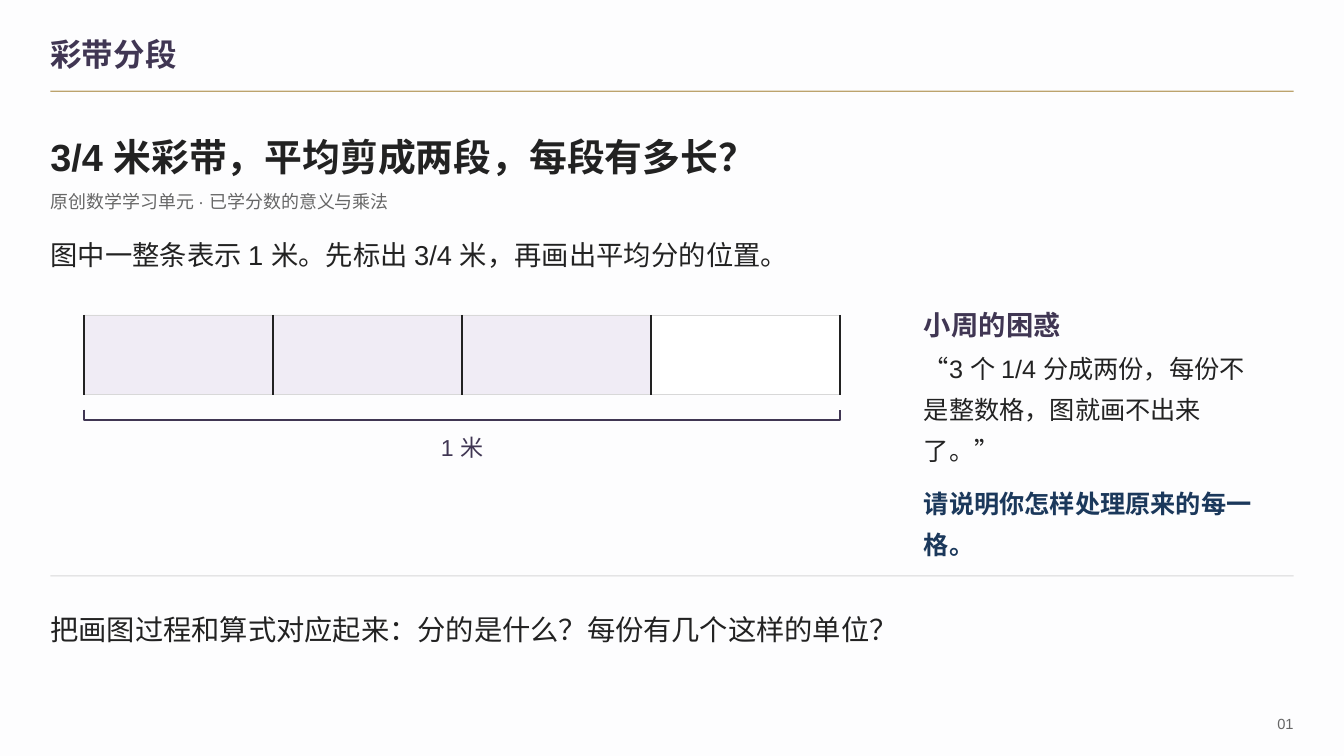
"""Build a fraction lesson slide: a ribbon of 3/4 metre cut into two equal pieces."""
from pptx import Presentation, util as u
from pptx.dml.color import RGBColor
from pptx.enum import shapes, text
from lxml import etree

COLORS = {
    "paper": "FDFDFE", "gold": "BCA36D", "plum": "403653", "ink": "222222",
    "muted": "666666", "rule": "D8D8D8", "lilac": "F0ECF5", "white": "FFFFFF",
    "navy": "1B385B",
}
COLUMNS = 160
LEFT, TOP, ANCHOR = text.PP_ALIGN.LEFT, text.MSO_ANCHOR.TOP, text.MSO_ANCHOR.MIDDLE
RIGHT, CENTER = text.PP_ALIGN.RIGHT, text.PP_ALIGN.CENTER

deck = Presentation()
deck.slide_width, deck.slide_height = u.Inches(13.3333), u.Inches(7.5)
slide = deck.slides.add_slide(deck.slide_layouts[6])
slide.background.fill.solid()
slide.background.fill.fore_color.rgb = RGBColor.from_string(COLORS["paper"])


def grid(*cells):
    """Turn grid cells into lengths."""
    return [u.Emu(round(cell * deck.slide_width / COLUMNS)) for cell in cells]


def add_block(cells, fill, edge=None):
    """Add a flat rectangle with an optional thin edge."""
    block = slide.shapes.add_shape(shapes.MSO_SHAPE.RECTANGLE, *grid(*cells))
    block.shadow.inherit = False
    block.fill.solid()
    block.fill.fore_color.rgb = RGBColor.from_string(COLORS[fill])
    if edge:
        block.line.color.rgb = RGBColor.from_string(COLORS[edge])
        block.line.width = u.Pt(0.56)
    else:
        block.line.fill.background()


MARGIN, FULL = 6, 148
for rule_top, rule_color in ((10.8, "gold"), (68.5, "rule")):
    add_block((MARGIN, rule_top, FULL, 0.13), rule_color)

RIBBON_LEFT, RIBBON_TOP, RIBBON_WIDTH, RIBBON_HEIGHT = 10, 37.5, 90, 9.5
PARTS, TAKEN = 4, 3
part_width = RIBBON_WIDTH / PARTS
for part in range(PARTS):
    add_block((RIBBON_LEFT + part * part_width, RIBBON_TOP, part_width, RIBBON_HEIGHT),
              "lilac" if part < TAKEN else "white", "rule")

for cut in range(PARTS + 1):
    cut_x = RIBBON_LEFT + cut * part_width
    mark = slide.shapes.add_connector(
        shapes.MSO_CONNECTOR.STRAIGHT,
        *grid(cut_x, RIBBON_TOP, cut_x, RIBBON_TOP + RIBBON_HEIGHT))
    mark.line.color.rgb = RGBColor.from_string(COLORS["ink"])
    mark.line.width = u.Pt(0.97)
    etree.SubElement(mark._element.spPr,
                     "{http://schemas.openxmlformats.org/drawingml/2006/main}effectLst")

start_x, end_x, tip_y, base_y = grid(RIBBON_LEFT, RIBBON_LEFT + RIBBON_WIDTH, 48.75, 50)
outline = slide.shapes.build_freeform(start_x, tip_y)
outline.add_line_segments([(start_x, base_y), (end_x, base_y), (end_x, tip_y)], close=False)
bracket = outline.convert_to_shape()
bracket.shadow.inherit = False
bracket.fill.background()
bracket.line.color.rgb = RGBColor.from_string(COLORS["plum"])
bracket.line.width = u.Pt(1.12)

ASIDE, ASIDE_WIDTH = 110, 40
WORDING = [
    ("彩带分段", (MARGIN, 3.7, 126.2, 5.4), 22.5, "plum", True, LEFT, ANCHOR, None),
    ("3/4 米彩带，平均剪成两段，每段有多长？", (MARGIN, 14, FULL, 6.8),
     27, "ink", True, LEFT, TOP, 1.35),
    ("原创数学学习单元 · 已学分数的意义与乘法", (MARGIN, 21.4, FULL, 4),
     12.8, "muted", False, LEFT, TOP, 1.5),
    ("01", (148.8, 84.6, 5.2, 3), 10.5, "muted", False, RIGHT, ANCHOR, None),
    ("图中一整条表示 1 米。先标出 3/4 米，再画出平均分的位置。", (MARGIN, 27, 140, 5.2),
     19.5, "ink", False, LEFT, TOP, 1.35),
    ("1 米", (RIBBON_LEFT, 50.9, RIBBON_WIDTH, 4.1), 16.5, "plum", False, CENTER, TOP, 1.2),
    ("小周的困惑", (ASIDE, 35.3, ASIDE_WIDTH, 5.2), 19.5, "plum", True, LEFT, TOP, 1.35),
    ("“3 个 1/4 分成两份，每份不是整数格，图就画不出来了。”", (ASIDE, 40.8, ASIDE_WIDTH, 12.8),
     18, "ink", False, LEFT, TOP, 1.35),
    ("请说明你怎样处理原来的每一格。", (ASIDE, 56.9, ASIDE_WIDTH, 8.9),
     18, "navy", True, LEFT, TOP, 1.35),
    ("把画图过程和算式对应起来：分的是什么？每份有几个这样的单位？", (MARGIN, 71.5, FULL, 5.3),
     20.2, "ink", False, LEFT, TOP, 1.35),
]
for wording, cells, size, color, bold, align, anchor, spacing in WORDING:
    frame = slide.shapes.add_textbox(*grid(*cells)).text_frame
    frame.margin_left = frame.margin_right = frame.margin_top = frame.margin_bottom = 0
    frame.word_wrap = True
    frame.auto_size = text.MSO_AUTO_SIZE.SHAPE_TO_FIT_TEXT
    frame.vertical_anchor = anchor
    line = frame.paragraphs[0]
    line.text = wording
    line.alignment = align
    line.line_spacing = spacing
    line.font.name, line.font.size, line.font.bold = "Arial", u.Pt(size), bold
    line.font.color.rgb = RGBColor.from_string(COLORS[color])

deck.save("out.pptx")
